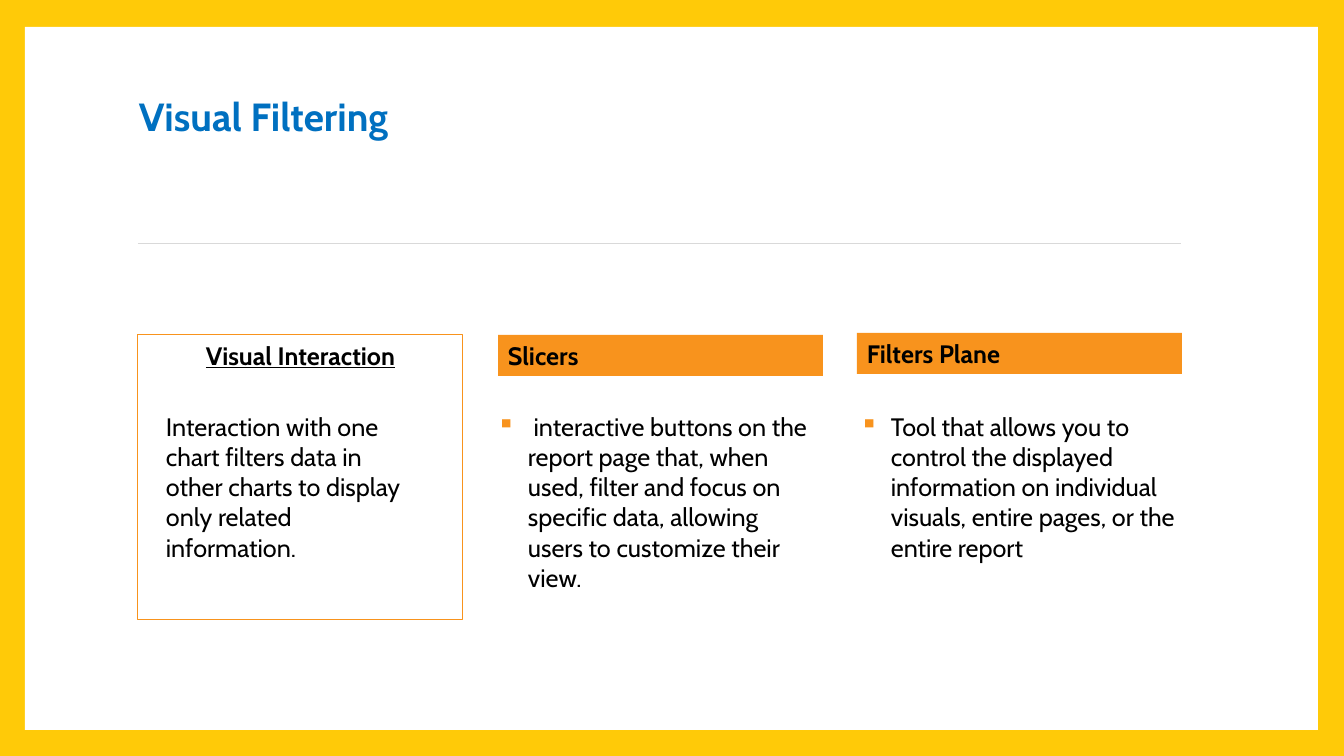
from dataclasses import dataclass

import lxml.etree
import pptx
import pptx.dml.color
import pptx.enum.shapes
import pptx.enum.text
import pptx.oxml.ns
import pptx.util

EMU_PER_PX = 914400 / 100.8
FONT = "Cabin"
ORANGE, WHITE, BLACK = "F8931D", "FFFFFF", "000000"
BODY_TOP = 406
BULLET_INDENT = 31


@dataclass
class Panel:
    left: int
    top: int
    width: int
    height: int
    fill: str
    line: str = ""
    heading: str = ""
    underline: bool = False
    align: str = "LEFT"


@dataclass
class TextBlock:
    left: int
    top: int
    width: int
    height: int
    text: str
    size: int = 18
    color: str = BLACK
    bold: bool = False
    bullet: str = ""


FRAME = Panel(25, 27, 1293, 703, WHITE)
PANELS = [
    Panel(138, 335, 325, 285, WHITE, ORANGE, "Visual Interaction", True, "CENTER"),
    Panel(498, 335, 325, 41, ORANGE, heading="Slicers"),
    Panel(857, 333, 325, 41, ORANGE, heading="Filters Plane"),
]
TITLE = TextBlock(129, 87, 672, 57, "Visual Filtering", 28, "0070C0", True)
BODIES = [
    TextBlock(156, BODY_TOP, 276, 132, "Interaction with one chart filters data in other "
              "charts to display only related information."),
    TextBlock(487, BODY_TOP, 335, 194, " interactive buttons on the report page that, when used, "
              "filter and focus on specific data, allowing users to customize their view.", bullet="▪"),
    TextBlock(850, BODY_TOP, 335, 163, "Tool that allows you to control the displayed information "
              "on individual visuals, entire pages, or the entire report", bullet="▪"),
]


def px(length: int) -> pptx.util.Emu:
    return pptx.util.Emu(round(length * EMU_PER_PX))


def rgb(color: str) -> pptx.dml.color.RGBColor:
    return pptx.dml.color.RGBColor.from_string(color)


def add_bullet(para, mark: str) -> None:
    properties = para._p.get_or_add_pPr()
    properties.set("marL", str(px(BULLET_INDENT)))
    properties.set("indent", str(-px(BULLET_INDENT)))
    qn = pptx.oxml.ns.qn
    color = lxml.etree.SubElement(properties, qn("a:buClr"))
    lxml.etree.SubElement(color, qn("a:srgbClr"), val=ORANGE)
    lxml.etree.SubElement(properties, qn("a:buChar"), char=mark)


def write_text(frame, text: str, color: str, formats: dict) -> None:
    frame.word_wrap = True
    frame.vertical_anchor = pptx.enum.text.MSO_ANCHOR.TOP
    span = frame.paragraphs[0].add_run()
    span.text = text
    span.font.color.rgb = rgb(color)
    for name, value in formats.items():
        setattr(span.font, name, value)


def draw_panel(page, panel: Panel) -> None:
    box = page.shapes.add_shape(pptx.enum.shapes.MSO_SHAPE.RECTANGLE, px(panel.left),
                                px(panel.top), px(panel.width), px(panel.height))
    box.shadow.inherit = False
    box.fill.solid()
    box.fill.fore_color.rgb = rgb(panel.fill)
    if panel.line:
        box.line.color.rgb = rgb(panel.line)
        box.line.width = pptx.util.Pt(0.75)
    else:
        box.line.fill.background()
    if panel.heading:
        box.text_frame.paragraphs[0].alignment = pptx.enum.text.PP_ALIGN[panel.align]
        write_text(box.text_frame, panel.heading, BLACK, {
            "name": FONT, "size": pptx.util.Pt(18), "bold": True, "underline": panel.underline})


def draw_text(page, block: TextBlock) -> None:
    box = page.shapes.add_textbox(px(block.left), px(block.top), px(block.width), px(block.height))
    if block.bullet:
        add_bullet(box.text_frame.paragraphs[0], block.bullet)
    write_text(box.text_frame, block.text, block.color, {
        "name": FONT, "size": pptx.util.Pt(block.size), "bold": block.bold})


def draw_rule(page, left: int, right: int, top: int) -> None:
    rule = page.shapes.add_connector(pptx.enum.shapes.MSO_CONNECTOR.STRAIGHT,
                                     px(left), px(top), px(right), px(top))
    rule.line.color.rgb = rgb("D9D9D9")
    rule.line.width = pptx.util.Pt(0.5)
    lxml.etree.SubElement(rule._element.spPr, pptx.oxml.ns.qn("a:effectLst"))


def main() -> None:
    deck = pptx.Presentation()
    deck.slide_width, deck.slide_height = px(1344), px(756)
    page = deck.slides.add_slide(deck.slide_layouts[6])

    # Yellow border around a white page
    page.background.fill.solid()
    page.background.fill.fore_color.rgb = rgb("FFCA08")
    draw_panel(page, FRAME)

    # Title and divider
    draw_text(page, TITLE)
    draw_rule(page, 138, 1181, 243)

    # Three columns
    for panel in PANELS:
        draw_panel(page, panel)
    for body in BODIES:
        draw_text(page, body)

    deck.save("out.pptx")


if __name__ == "__main__":
    main()
